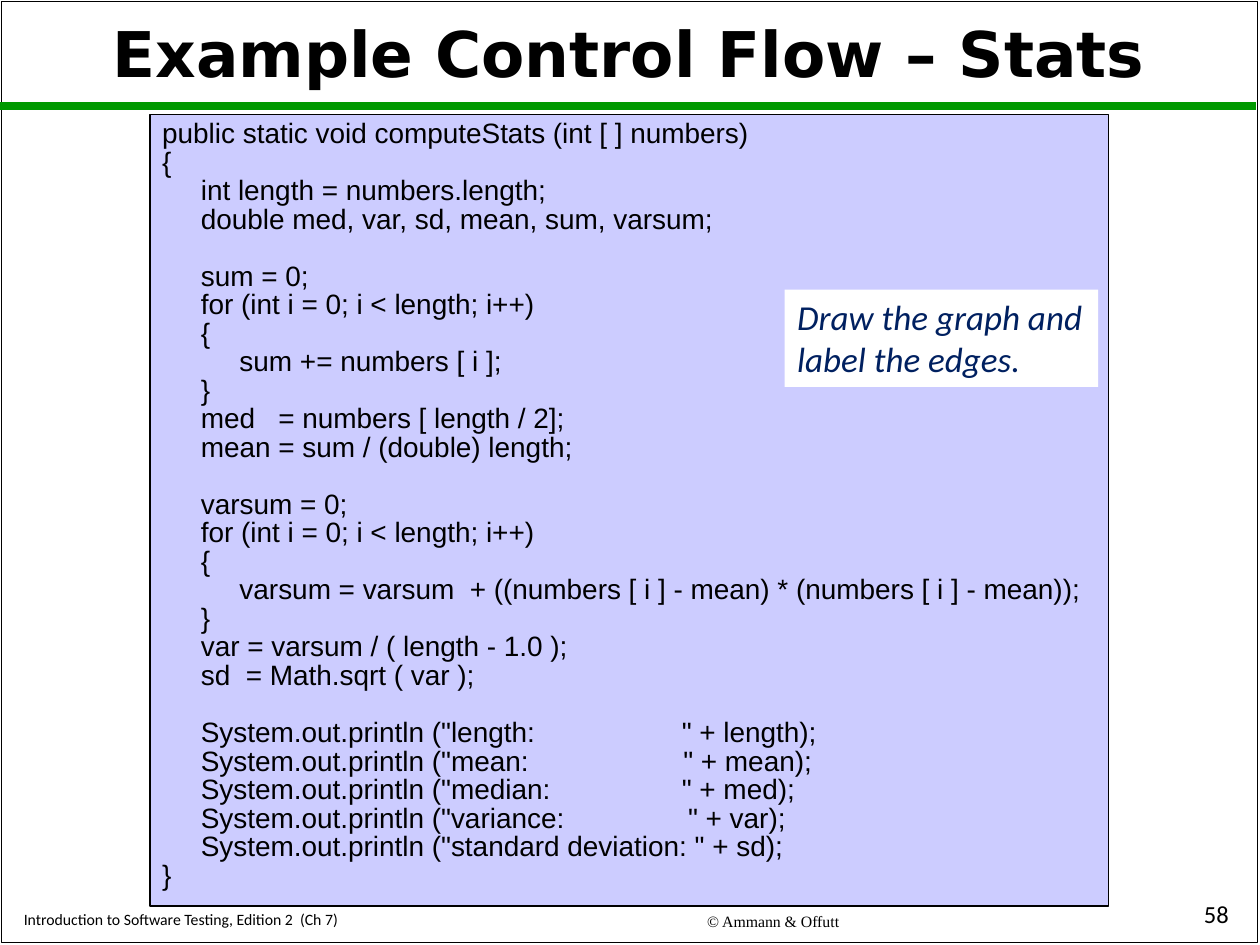
from dataclasses import dataclass

from lxml import etree
from pptx import Presentation
from pptx import util as u
from pptx.dml.color import RGBColor
from pptx.enum import shapes, text
from pptx.oxml import ns


@dataclass(frozen=True)
class Theme:
    black: RGBColor = RGBColor.from_string("000000")
    white: RGBColor = RGBColor.from_string("FFFFFF")
    green: RGBColor = RGBColor.from_string("009900")
    lavender: RGBColor = RGBColor.from_string("CCCCFF")
    navy: RGBColor = RGBColor.from_string("002060")
    title: u.Pt = u.Pt(36)
    callout: u.Pt = u.Pt(20)
    code: u.Pt = u.Pt(16)
    number: u.Pt = u.Pt(14)
    footer: u.Pt = u.Pt(9)


theme = Theme()
ALIGN = text.PP_ALIGN
ANCHOR = text.MSO_ANCHOR

code_lines = [
    "public static void computeStats (int [ ] numbers)",
    "{",
    "     int length = numbers.length;",
    "     double med, var, sd, mean, sum, varsum;",
    "",
    "     sum = 0;",
    "     for (int i = 0; i < length; i++)",
    "     {",
    "          sum += numbers [ i ];",
    "     }",
    "     med   = numbers [ length / 2];",
    "     mean = sum / (double) length;",
    "",
    "     varsum = 0;",
    "     for (int i = 0; i < length; i++)",
    "     {",
    "          varsum = varsum  + ((numbers [ i ] - mean) * (numbers [ i ] - mean));",
    "     }",
    "     var = varsum / ( length - 1.0 );",
    "     sd  = Math.sqrt ( var );",
    "",
    '     System.out.println ("length:                   " + length);',
    '     System.out.println ("mean:                    " + mean);',
    '     System.out.println ("median:                 " + med);',
    '     System.out.println ("variance:                " + var);',
    '     System.out.println ("standard deviation: " + sd);',
    "}",
]

presentation = Presentation()
presentation.slide_width, presentation.slide_height = u.Cm(25.4), u.Cm(19.05)
slide = presentation.slides.add_slide(presentation.slide_layouts[6])


def add_rectangle(left, top, width, height, fill=None, line=None):
    shape = slide.shapes.add_shape(
        shapes.MSO_SHAPE.RECTANGLE, u.Cm(left), u.Cm(top), u.Cm(width), u.Cm(height))
    shape.shadow.inherit = False
    if fill is None:
        shape.fill.background()
    else:
        shape.fill.solid()
        shape.fill.fore_color.rgb = fill
    if line is None:
        shape.line.fill.background()
    else:
        shape.line.color.rgb = line
        shape.line.width = u.Pt(1)
    return shape


def write(shape, lines, size, font, color=theme.black, align=ALIGN.LEFT,
          anchor=ANCHOR.TOP, spacing=None, bold=False, italic=False):
    """Fill the shape with one paragraph per line; an empty line becomes a gap."""
    frame = shape.text_frame
    frame.word_wrap = True
    frame.vertical_anchor = anchor
    paragraph, gap = frame.paragraphs[0], False
    for index, line in enumerate(lines):
        if not line:
            gap = True
            continue
        if index:
            paragraph = frame.add_paragraph()
        paragraph.alignment = align
        if spacing:
            paragraph.line_spacing = spacing
        if gap:
            paragraph.space_before = u.Pt(16.3)
            gap = False
        run = paragraph.add_run()
        run.text = line
        run.font.size, run.font.name = size, font
        run.font.bold, run.font.italic = bold, italic
        run.font.color.rgb = color


# Frame and rule under the title
add_rectangle(0.03, 0.03, 25.32, 18.97, line=theme.black)
rule = slide.shapes.add_connector(
    shapes.MSO_CONNECTOR.STRAIGHT, u.Cm(0), u.Cm(2.13), u.Cm(25.32), u.Cm(2.13))
rule.line.color.rgb = theme.green
rule.line.width = u.Pt(4.5)
etree.SubElement(rule.element.spPr, ns.qn("a:effectLst"))

# Title and footers
labels = [
    ((0.23, 0.28, 24.89, 1.75), "Example Control Flow – Stats", theme.title,
     "DejaVu Sans", ALIGN.CENTER, ANCHOR.MIDDLE, 0.9, True),
    ((11.56, 18.08, 8.05, 0.99), "© Ammann & Offutt", theme.footer,
     "Times New Roman", ALIGN.CENTER, ANCHOR.MIDDLE, None, False),
    ((0.23, 18.08, 10.46, 0.76), "Introduction to Software Testing, Edition 2  (Ch 7)",
     theme.footer, "Calibri", ALIGN.LEFT, ANCHOR.BOTTOM, None, False),
    ((20.04, 18.03, 4.98, 0.81), "58", theme.number,
     "Calibri", ALIGN.RIGHT, ANCHOR.BOTTOM, None, False),
]
for box, label, size, font, align, anchor, spacing, bold in labels:
    textbox = slide.shapes.add_textbox(*(u.Cm(length) for length in box))
    write(textbox, [label], size, font, align=align, anchor=anchor,
          spacing=spacing, bold=bold)

# Code listing and the task beside it
listing = add_rectangle(3.02, 2.31, 19.33, 15.95, theme.lavender, theme.black)
write(listing, code_lines, theme.code, "Arial", spacing=0.85)

callout = add_rectangle(15.82, 5.84, 6.32, 1.96, theme.white)
write(callout, ["Draw the graph and label the edges."], theme.callout, "Calibri",
      theme.navy, italic=True)

presentation.save("out.pptx")
